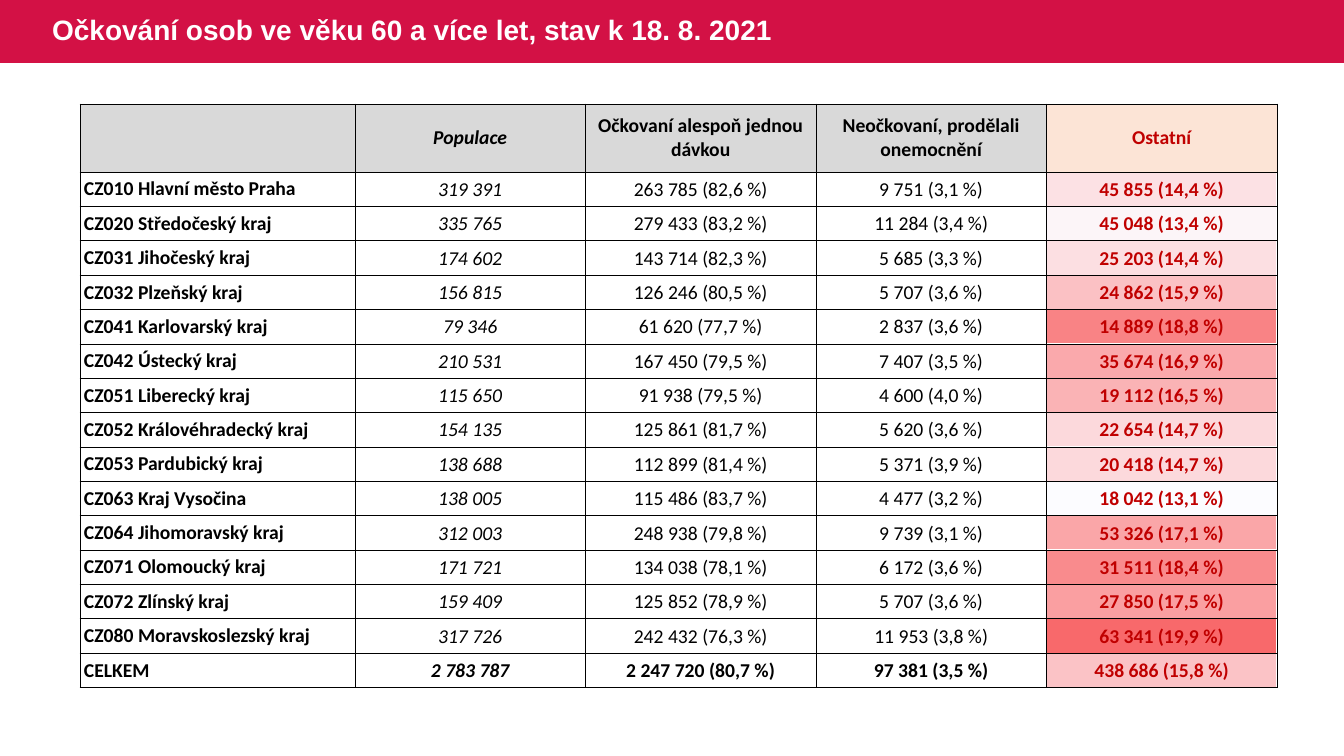
from lxml.etree import SubElement
from pptx import Presentation
from pptx.dml.color import RGBColor
from pptx.enum.shapes import MSO_SHAPE
from pptx.enum.text import MSO_ANCHOR, PP_ALIGN
from pptx.oxml.ns import qn
from pptx.util import Emu, Pt

BLACK, WHITE, CRIMSON = "000000", "FFFFFF", "D31145"
GREY, PEACH, DARK_RED = "D9D9D9", "FCE4D6", "C00000"

HEADERS = ["", "Populace", "Očkovaní alespoň jednou dávkou",
           "Neočkovaní, prodělali onemocnění", "Ostatní"]
REGIONS = [
    ("CZ010 Hlavní město Praha", "319 391", "263 785 (82,6 %)", "9 751 (3,1 %)", "45 855 (14,4 %)"),
    ("CZ020 Středočeský kraj", "335 765", "279 433 (83,2 %)", "11 284 (3,4 %)", "45 048 (13,4 %)"),
    ("CZ031 Jihočeský kraj", "174 602", "143 714 (82,3 %)", "5 685 (3,3 %)", "25 203 (14,4 %)"),
    ("CZ032 Plzeňský kraj", "156 815", "126 246 (80,5 %)", "5 707 (3,6 %)", "24 862 (15,9 %)"),
    ("CZ041 Karlovarský kraj", "79 346", "61 620 (77,7 %)", "2 837 (3,6 %)", "14 889 (18,8 %)"),
    ("CZ042 Ústecký kraj", "210 531", "167 450 (79,5 %)", "7 407 (3,5 %)", "35 674 (16,9 %)"),
    ("CZ051 Liberecký kraj", "115 650", "91 938 (79,5 %)", "4 600 (4,0 %)", "19 112 (16,5 %)"),
    ("CZ052 Královéhradecký kraj", "154 135", "125 861 (81,7 %)", "5 620 (3,6 %)", "22 654 (14,7 %)"),
    ("CZ053 Pardubický kraj", "138 688", "112 899 (81,4 %)", "5 371 (3,9 %)", "20 418 (14,7 %)"),
    ("CZ063 Kraj Vysočina", "138 005", "115 486 (83,7 %)", "4 477 (3,2 %)", "18 042 (13,1 %)"),
    ("CZ064 Jihomoravský kraj", "312 003", "248 938 (79,8 %)", "9 739 (3,1 %)", "53 326 (17,1 %)"),
    ("CZ071 Olomoucký kraj", "171 721", "134 038 (78,1 %)", "6 172 (3,6 %)", "31 511 (18,4 %)"),
    ("CZ072 Zlínský kraj", "159 409", "125 852 (78,9 %)", "5 707 (3,6 %)", "27 850 (17,5 %)"),
    ("CZ080 Moravskoslezský kraj", "317 726", "242 432 (76,3 %)", "11 953 (3,8 %)", "63 341 (19,9 %)"),
    ("CELKEM", "2 783 787", "2 247 720 (80,7 %)", "97 381 (3,5 %)", "438 686 (15,8 %)"),
]
OTHERS_SHADES = ["FCE1E4", "FCF5F8", "FCDFE2", "FBC1C4", "F98385",
                 "FAA9AC", "FAB3B5", "FCD9DC", "FCD9DC", "FCFCFF",
                 "FAA6A8", "F98B8D", "FA9FA1", "F8696B", "FBC3C6"]


def px(length):
    """Turn slide pixels (100.8 to the inch) into EMU."""
    return Emu(round(length * 914400 / 100.8))


def rgb(code):
    return RGBColor.from_string(code)


prs = Presentation()
prs.slide_width, prs.slide_height = px(1344), px(756)
slide = prs.slides.add_slide(prs.slide_layouts[5])
table_left, table_top, header_height = px(80), px(104), px(68)
label_width, value_width = px(275), px(922) // 4
row_height = px(516) // len(REGIONS)
others_col, total_row = len(HEADERS) - 1, len(REGIONS)

# Title on its band
title = slide.shapes.title
band = slide.shapes.add_shape(MSO_SHAPE.RECTANGLE, 0, 0, px(1344), px(63))
band.shadow.inherit = False
band.fill.solid()
band.fill.fore_color.rgb = rgb(CRIMSON)
band.line.fill.background()
title._element.addprevious(band._element)

title.left, title.top, title.width, title.height = px(42), 0, px(835), px(63)
title.text_frame.vertical_anchor = MSO_ANCHOR.MIDDLE
heading = title.text_frame.paragraphs[0]
heading.alignment = PP_ALIGN.LEFT
heading.line_spacing = 0.9
heading_run = heading.add_run()
heading_run.text = "Očkování osob ve věku 60 a více let, stav k 18. 8. 2021"
heading_run.font.name = "Arial"
heading_run.font.size = Pt(20)
heading_run.font.bold = True
heading_run.font.color.rgb = rgb(WHITE)

# Colour scale behind the last column
scale_frame = slide.shapes.add_table(
    len(OTHERS_SHADES), 1, table_left + label_width + 3 * value_width,
    table_top + header_height, value_width, row_height * len(OTHERS_SHADES))
title._element.addprevious(scale_frame._element)
scale = scale_frame.table
scale.first_row = scale.horz_banding = False
for r, shade in enumerate(OTHERS_SHADES):
    scale.rows[r].height = row_height
    cell = scale.cell(r, 0)
    cell.margin_top = cell.margin_bottom = 0
    cell.text_frame.paragraphs[0].font.size = Pt(14)
    cell.fill.solid()
    cell.fill.fore_color.rgb = rgb(shade)

# Vaccination table
rows = [HEADERS, *REGIONS]
table = slide.shapes.add_table(
    len(rows), len(HEADERS), table_left, table_top, label_width + 4 * value_width,
    header_height + row_height * len(REGIONS)).table
table.first_row = table.horz_banding = False
for c, column in enumerate(table.columns):
    column.width = label_width if c == 0 else value_width
for r, row in enumerate(table.rows):
    row.height = header_height if r == 0 else row_height

for r, values in enumerate(rows):
    for c, value in enumerate(values):
        cell = table.cell(r, c)
        is_label = r == 0 or c == 0
        cell.vertical_anchor = MSO_ANCHOR.MIDDLE
        cell.margin_left = cell.margin_right = px(4 if is_label else 1)
        cell.margin_top = px(0 if is_label else 1)
        cell.margin_bottom = 0

        for side in ("a:lnL", "a:lnR", "a:lnT", "a:lnB"):
            border = SubElement(cell._tc.get_or_add_tcPr(), qn(side), w=str(Pt(0.5)))
            ink = SubElement(border, qn("a:solidFill"))
            SubElement(ink, qn("a:srgbClr"), val=BLACK)

        if r == 0:
            cell.fill.solid()
            cell.fill.fore_color.rgb = rgb(PEACH if c == others_col else GREY)
        else:
            cell.fill.background()

        if value:
            paragraph = cell.text_frame.paragraphs[0]
            paragraph.alignment = PP_ALIGN.LEFT if c == 0 else PP_ALIGN.CENTER
            run = paragraph.add_run()
            run.text = value
            run.font.name = "Calibri"
            run.font.size = Pt(14)
            run.font.bold = is_label or r == total_row or c == others_col
            run.font.italic = c == 1
            run.font.color.rgb = rgb(DARK_RED if c == others_col else BLACK)

prs.save("out.pptx")
